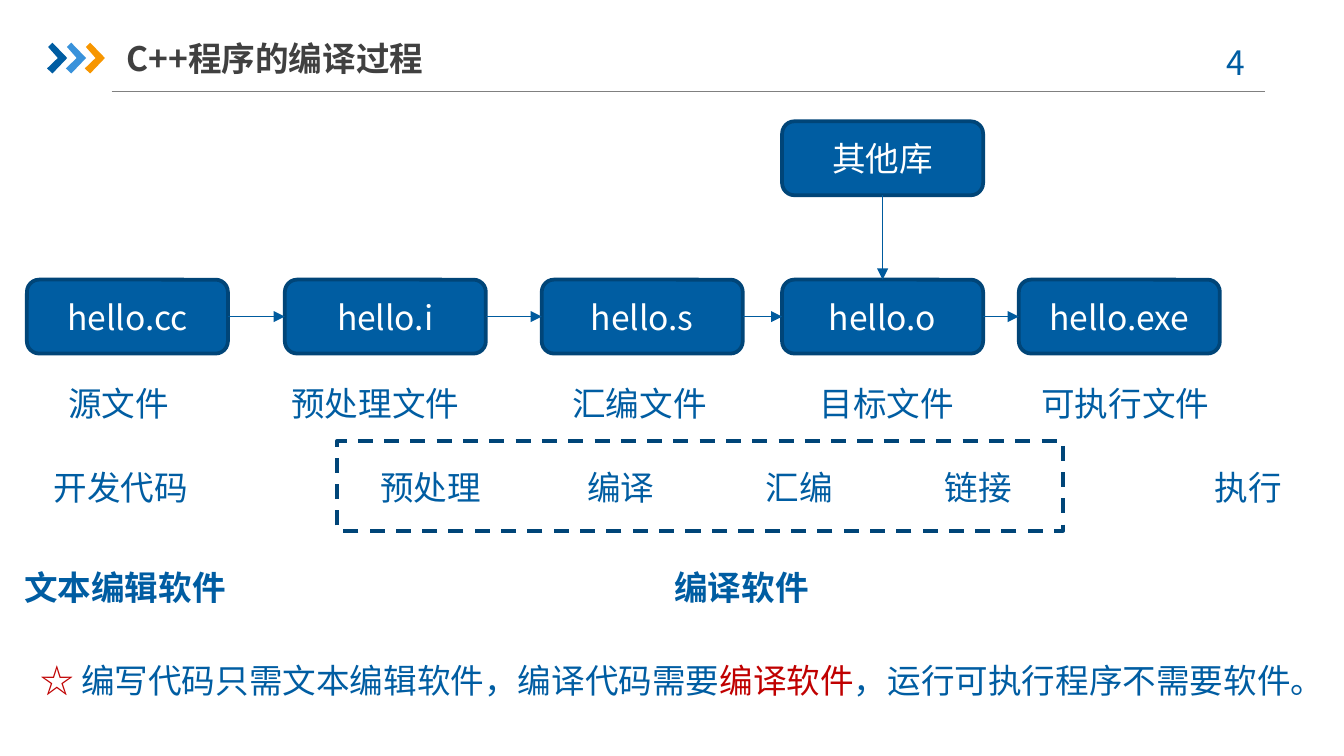
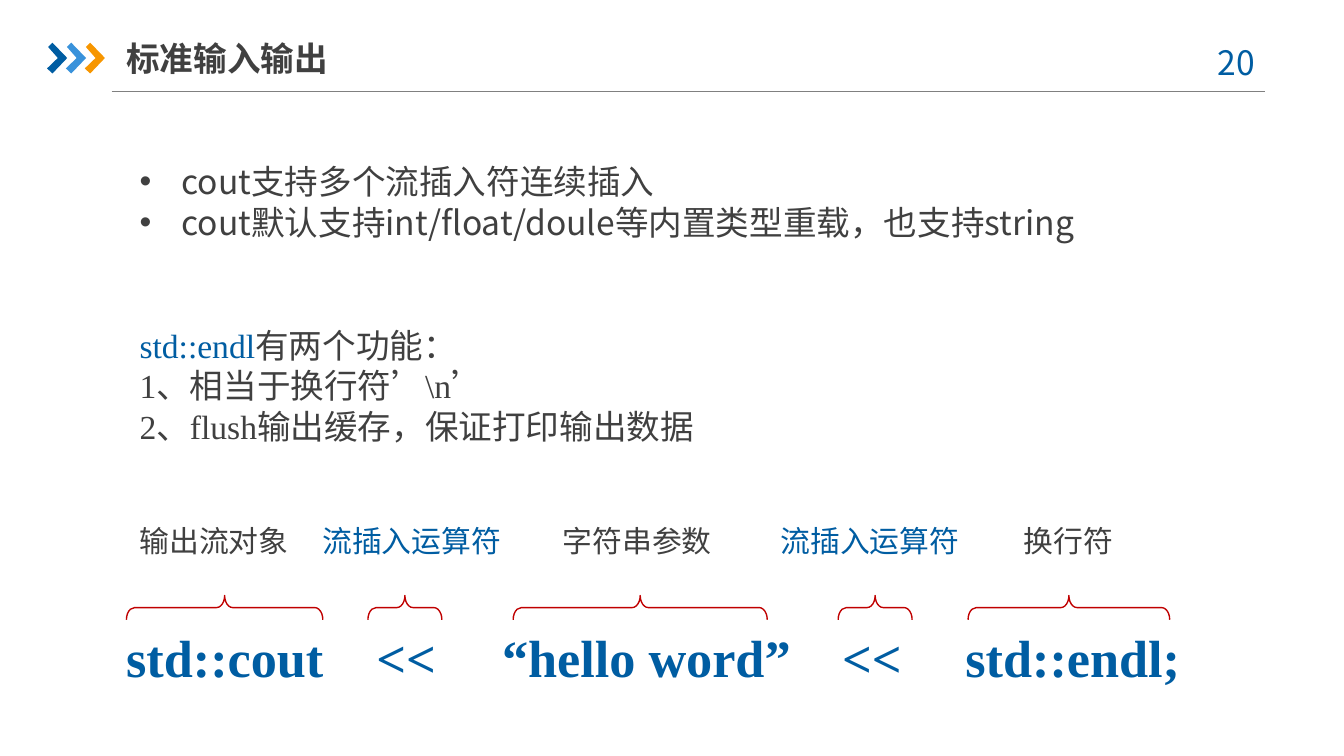
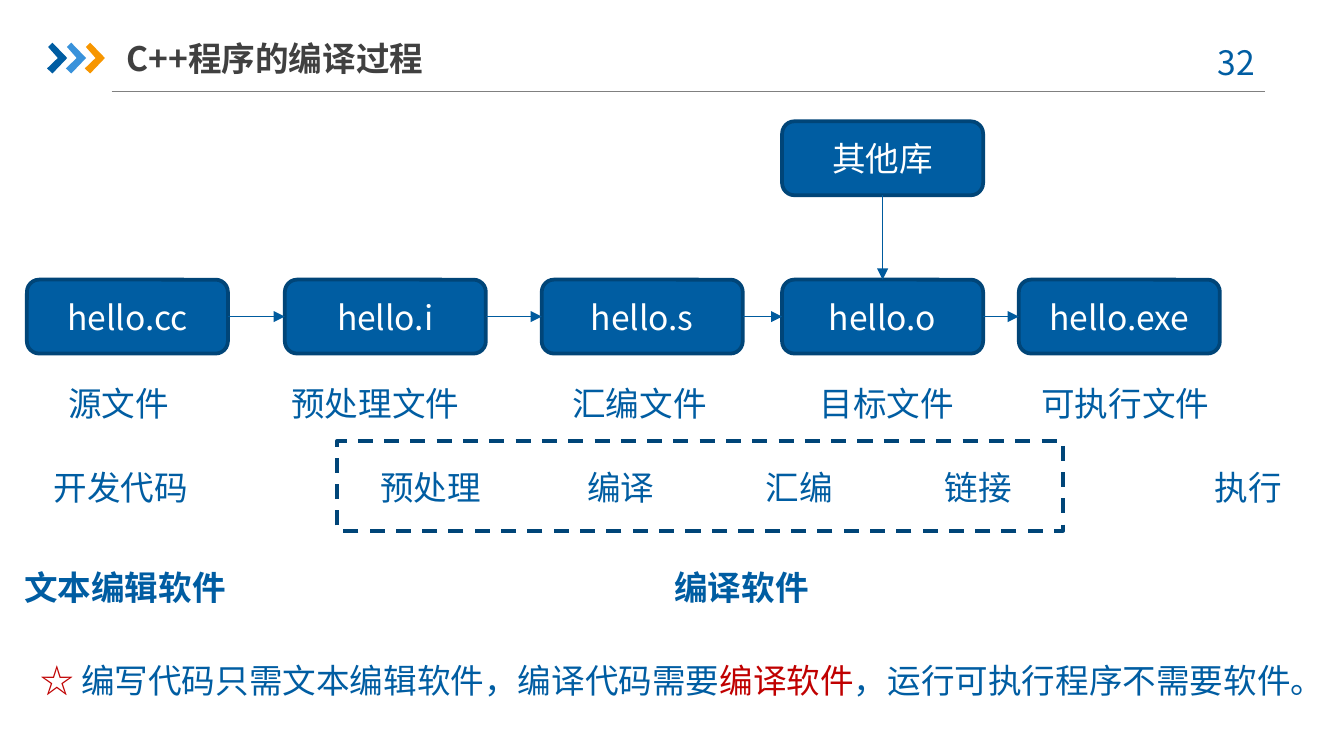
from collections import namedtuple
from dataclasses import dataclass

from pptx import Presentation
from pptx.dml.color import RGBColor
from pptx.enum.dml import MSO_LINE
from pptx.enum.shapes import MSO_CONNECTOR, MSO_SHAPE
from pptx.enum.text import MSO_ANCHOR, MSO_AUTO_SIZE, PP_ALIGN
from pptx.oxml.ns import qn
from pptx.util import Pt
from lxml.etree import SubElement

Box = namedtuple("Box", "x y w h")
TOP, LEFT, BOTTOM, RIGHT = range(4)


@dataclass(frozen=True)
class Theme:
    blue: str = "005DA2"
    navy: str = "004578"
    sky: str = "3992DB"
    gold: str = "F79600"
    red: str = "C00000"
    dark: str = "404040"
    grey: str = "808080"
    arrow: str = "005B9E"
    white: str = "FFFFFF"
    sans: str = "Noto Sans CJK SC"
    serif: str = "Times New Roman"
    body: int = 18
    label: int = 16
    code: int = 28
    thin: float = 0.75
    thick: float = 2


T = Theme()


def color(ink):
    return RGBColor.from_string(ink)


def place(box):
    return [Pt(side) for side in box]


def shift(box, x, y, w, h):
    return Box(box.x + x, box.y + y, w, h)


def run(par, words, ink, size=T.body, bold=False, face=T.sans):
    part = par.add_run()
    part.text = words
    font = part.font
    font.name, font.size, font.bold = face, Pt(size), bold
    font.color.rgb = color(ink)
    SubElement(font._element, qn("a:ea")).set("typeface", T.sans)


def frame(slide, box):
    area = slide.shapes.add_textbox(*place(box)).text_frame
    area.word_wrap = True
    area.auto_size = MSO_AUTO_SIZE.SHAPE_TO_FIT_TEXT
    return area


def write(slide, box, words, ink=T.blue, **look):
    area = frame(slide, box)
    run(area.paragraphs[0], words, ink, **look)
    return area


def shape(slide, kind, box, fill=None, line=T.navy, width=T.thick):
    item = slide.shapes.add_shape(kind, *place(box))
    item.shadow.inherit = False
    if fill:
        item.fill.solid()
        item.fill.fore_color.rgb = color(fill)
    else:
        item.fill.background()
    item.line.color.rgb = color(line)
    item.line.width = Pt(width)
    return item


def rule(slide, ink, x1=0, y1=0, x2=0, y2=0):
    line = slide.shapes.add_connector(
        MSO_CONNECTOR.STRAIGHT, Pt(x1), Pt(y1), Pt(x2), Pt(y2))
    line.line.color.rgb = color(ink)
    line.line.width = Pt(T.thin)
    SubElement(line._element.spPr, qn("a:effectLst"))
    return line


def arrow(slide, start, out, end, into):
    line = rule(slide, T.arrow)
    line.begin_connect(start, out)
    line.end_connect(end, into)
    SubElement(line.line._get_or_add_ln(), qn("a:tailEnd")).set("type", "triangle")


def chevrons(slide, box):
    group = slide.shapes.add_group_shape()
    points = [(0.6, 2.3), (2.9, 0), (10.8, 8.2), (2.9, 16.5), (0, 13.8), (5.8, 8.2)]
    for step, ink in enumerate((T.blue, T.sky, T.gold)):
        spots = [(Pt(box.x + 10.1 * step + x), Pt(box.y + y)) for x, y in points]
        path = group.shapes.build_freeform(*spots[0], scale=1.0)
        path.add_line_segments(spots[1:], close=True)
        mark = path.convert_to_shape()
        mark.shadow.inherit = False
        mark.fill.solid()
        mark.fill.fore_color.rgb = color(ink)
        mark.line.fill.background()


def head(slide, box, title, number):
    rule(slide, T.grey, box.x + 34.6, box.y + box.h, box.x + box.w, box.y + box.h)
    chevrons(slide, shift(box, 0, 7.1, 31, 16.5))
    page = write(slide, shift(box, 612.7, 2.9, 52.6, 29), f"{number} ")
    page.paragraphs[0].alignment = PP_ALIGN.CENTER
    name = write(slide, shift(box, 42.5, 0, 230, 30.2), title, T.dark, bold=True)
    name.auto_size = MSO_AUTO_SIZE.NONE
    name.vertical_anchor = MSO_ANCHOR.MIDDLE
    name.margin_left = name.margin_right = 0


def node(slide, box, words):
    item = shape(slide, MSO_SHAPE.ROUNDED_RECTANGLE, box, T.blue)
    area = item.text_frame
    area.vertical_anchor = MSO_ANCHOR.MIDDLE
    area.paragraphs[0].alignment = PP_ALIGN.CENTER
    run(area.paragraphs[0], words, T.white)
    return item


def flow(slide, box):
    wide, tall, low = 107.7, 39.6, 84.8
    files = {"hello.cc": 0, "hello.i": 138.2, "hello.s": 275.8,
             "hello.o": 404.6, "hello.exe": 531.4}
    nodes = [node(slide, shift(box, x, low, wide, tall), name)
             for name, x in files.items()]
    for start, end in zip(nodes, nodes[1:]):
        arrow(slide, start, RIGHT, end, LEFT)
    extra = node(slide, shift(box, files["hello.o"], 0, wide, tall), "其他库")
    arrow(slide, extra, BOTTOM, nodes[3], TOP)


def row(slide, box, items, bold=False):
    for x, wide, words in items:
        write(slide, shift(box, x, 0, wide, box.h), words, bold=bold)


def stages(slide, box):
    row(slide, shift(box, 0, 0, box.w, 29), [
        (23.7, 77, "源文件"), (143.2, 108, "预处理文件"), (293.7, 108, "汇编文件"),
        (426.2, 108, "目标文件"), (545, 108, "可执行文件")])
    group = shape(slide, MSO_SHAPE.RECTANGLE, shift(box, 174.9, 34.6, 388.8, 48.2))
    group.line.dash_style = MSO_LINE.DASH
    row(slide, shift(box, 0, 45.2, box.w, 29), [
        (15.8, 92, "开发代码"), (190.8, 74, "预处理"), (301.6, 59, "编译"),
        (397.4, 59, "汇编"), (493.2, 59, "链接"), (637.9, 59, "执行")])
    row(slide, shift(box, 0, 98.6, box.w, 29), [
        (0, 123.2, "文本编辑软件"), (348.4, 87, "编译软件")], bold=True)


def remark(slide, box):
    par = frame(slide, box).paragraphs[0]
    par._p.get_or_add_pPr().set("hangingPunct", "1")
    run(par, "☆ ", T.red)
    run(par, "编写代码只需文本编辑软件，编译代码需要", T.blue)
    run(par, "编译软件", T.red)
    run(par, "，运行可执行程序不需要软件。", T.blue)


def bullets(slide, box, lines):
    area = frame(slide, box)
    for spot, words in enumerate(lines):
        par = area.add_paragraph() if spot else area.paragraphs[0]
        props = par._p.get_or_add_pPr()
        props.set("marL", str(Pt(22.5)))
        props.set("indent", str(-Pt(22.5)))
        SubElement(props, qn("a:buFont")).set("typeface", "Arial")
        SubElement(props, qn("a:buChar")).set("char", "•")
        run(par, words, T.dark)


def uses(slide, box):
    area = write(slide, box, "std::endl", face=T.serif)
    run(area.paragraphs[0], "有两个功能：", T.dark, face=T.serif)
    for words in ("1、相当于换行符’\\n’", "2、flush输出缓存，保证打印输出数据"):
        run(area.add_paragraph(), words, T.dark, face=T.serif)


def syntax(slide, box):
    parts = [
        ("std::cout", 0, "输出流对象", T.dark, 13.7, 105.2, 13.7, 105.2),
        ("<<", 134, "流插入运算符", T.blue, 111.6, 115.2, 143.1, 39.6),
        ("“hello word”", 201.4, "字符串参数", T.dark, 240.5, 115.2, 220.9, 136.1),
        ("<<", 383.5, "流插入运算符", T.blue, 357.1, 115.2, 395, 39.6),
        ("std::endl;", 449.6, "换行符", T.dark, 487.4, 73.5, 464.6, 108)]
    area = frame(slide, shift(box, 0, 54.7, box.w, 41))
    area.margin_left = Pt(13.6)
    par = area.paragraphs[0]
    tabs = SubElement(par._p.get_or_add_pPr(), qn("a:tabLst"))
    for spot, (code, stop, label, ink, x, wide, start, span) in enumerate(parts):
        if spot:
            tab = SubElement(tabs, qn("a:tab"))
            tab.set("pos", str(Pt(stop)))
            tab.set("algn", "l")
        run(par, ("\t" if spot else "") + code, T.blue, T.code, True, T.serif)
        write(slide, shift(box, x, 0, wide, 26.6), label, ink, size=T.label)
        thick = 13
        brace = shape(slide, MSO_SHAPE.LEFT_BRACE,
                      shift(box, start + (span - thick) / 2, 49 - span / 2, thick, span),
                      line=T.red, width=T.thin)
        brace.adjustments[0] = 0.331
        brace.rotation = 90


def build(slide):
    flow(slide, Box(14.4, 65, 640, 125))
    stages(slide, Box(5.8, 201.6, 697, 128))
    remark(slide, Box(14.4, 350, 688.3, 29))


def stream(slide):
    bullets(slide, Box(67.7, 82.8, 565, 51), [
        "cout支持多个流插入符连续插入",
        "cout默认支持int/float/doule等内置类型重载，也支持string"])
    uses(slide, Box(67.7, 170.6, 360, 72.7))
    syntax(slide, Box(54, 276.5, 591, 96))


def main():
    deck = Presentation()
    deck.slide_width, deck.slide_height = Pt(720), Pt(405)
    pages = [("C++程序的编译过程", 4, build), ("标准输入输出", 20, stream),
             ("C++程序的编译过程", 32, build)]
    for title, number, fill in pages:
        slide = deck.slides.add_slide(deck.slide_layouts[6])
        head(slide, Box(25.2, 15.8, 652.3, 33.2), title, number)
        fill(slide)
    deck.save("out.pptx")


if __name__ == "__main__":
    main()
